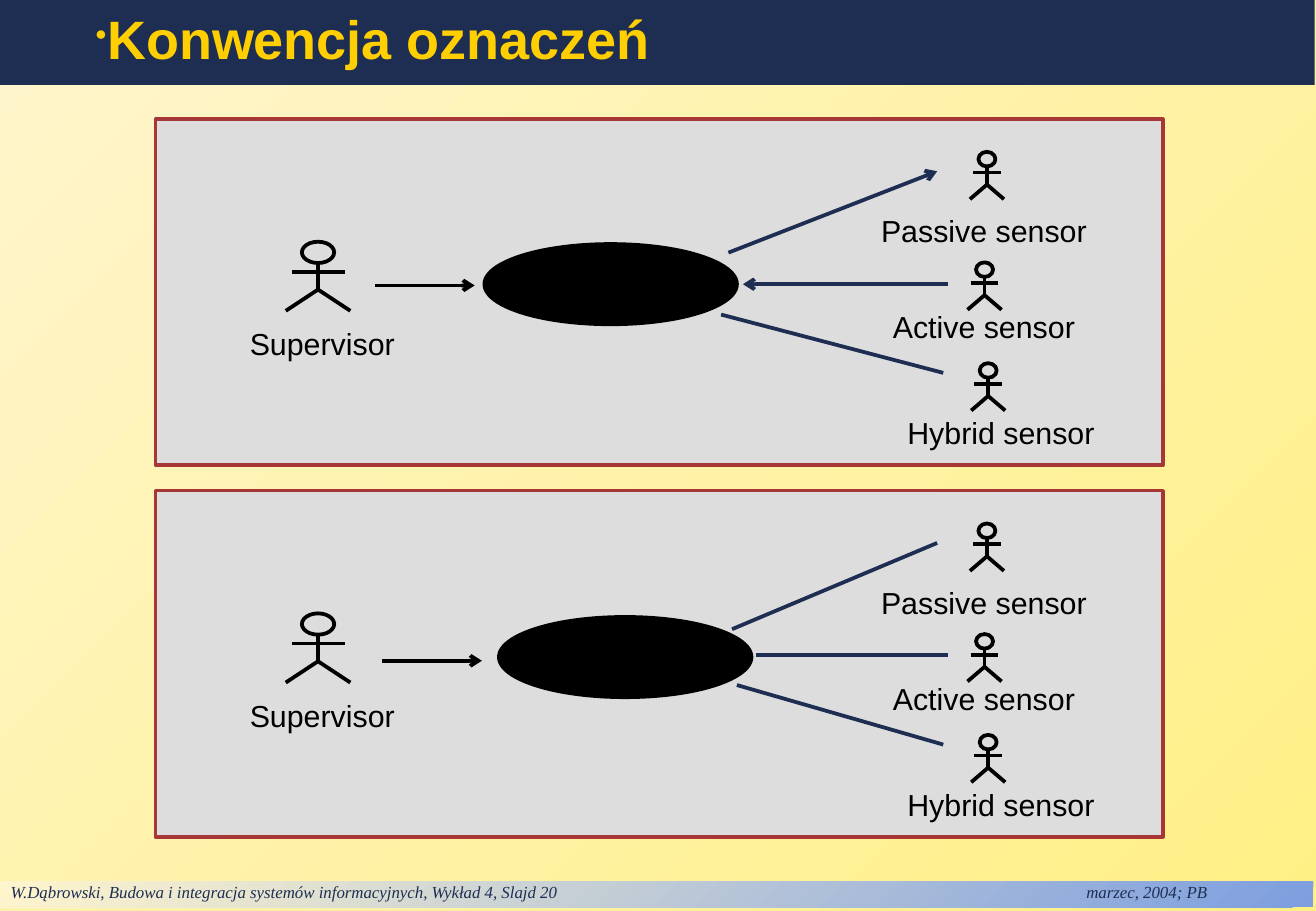
from lxml import etree
from pptx import Presentation
from pptx.dml.color import RGBColor
from pptx.enum import shapes as kinds, text as txt
from pptx.oxml import ns
from pptx.util import Inches, Pt

NAVY, GOLD, BLACK = "1E2E53", "FFCF01", "000000"
GREY, RED, CREAM = "DDDDDD", "A73737", "FFF5CD"
WIDTH, HEIGHT = 10.84, 7.5
RECT, OVAL = kinds.MSO_SHAPE.RECTANGLE, kinds.MSO_SHAPE.OVAL
LEFT, CENTER = txt.PP_ALIGN.LEFT, txt.PP_ALIGN.CENTER


def rgb(code):
    return RGBColor.from_string(code)


def node(parent, tag, **attrs):
    return etree.SubElement(parent, ns.qn(tag), attrs)


def blend(fill, start, end):
    """Gradient running from the bottom right to the top left."""
    fill.gradient()
    fill.gradient_angle = 135
    for stop, code in zip(fill.gradient_stops, (start, end)):
        stop.color.rgb = rgb(code)


def draw(parts, kind, box, fill=None, line=None, width=2.25):
    shape = parts.add_shape(kind, *map(Inches, box))
    shape.shadow.inherit = False
    if fill:
        shape.fill.solid()
        shape.fill.fore_color.rgb = rgb(fill)
    else:
        shape.fill.background()
    if line:
        shape.line.color.rgb = rgb(line)
        shape.line.width = Pt(width)
    else:
        shape.line.fill.background()
    return shape


def link(parts, start, end, color=BLACK, arrow=False):
    """Straight line; the arrowhead sits at its start."""
    line = parts.add_connector(kinds.MSO_CONNECTOR.STRAIGHT,
                               *map(Inches, (*start, *end)))
    line.line.color.rgb = rgb(color)
    line.line.width = Pt(2.25)
    if arrow:
        node(line.line._get_or_add_ln(), "a:headEnd", type="arrow")
    node(line._element.spPr, "a:effectLst")


def write(shape, words, size, color, margins, align=LEFT, face="Arial"):
    frame = shape.text_frame
    (frame.margin_left, frame.margin_top,
     frame.margin_right, frame.margin_bottom) = map(Inches, margins)
    para = frame.paragraphs[0]
    para.text = words
    para.alignment = align
    font = para.font
    font.name, font.size, font.color.rgb = face, Pt(size), rgb(color)
    return para


def title(slide, box, words):
    bar = draw(slide.shapes, RECT, box, NAVY)
    bar.text_frame.vertical_anchor = txt.MSO_ANCHOR.MIDDLE
    bar.text_frame.word_wrap = True
    props = bar.text_frame.paragraphs[0]._p.get_or_add_pPr()
    props.set("marL", str(Inches(0.29)))
    props.set("indent", str(Inches(0.4)))
    node(node(props, "a:buClr"), "a:srgbClr", val=GOLD)
    node(props, "a:buSzPct", val="60000")
    node(props, "a:buChar", char="•")
    para = write(bar, words, 32, GOLD, (0.1, 0.05, 0.1, 0.05))
    para.line_spacing = 0.9
    para.font.bold = True


def footer(slide, box, words):
    bar = draw(slide.shapes, RECT, box)
    blend(bar.fill, "7D9EDF", CREAM)
    bar.text_frame.vertical_anchor = txt.MSO_ANCHOR.TOP
    bar.text_frame.word_wrap = True
    props = bar.text_frame.paragraphs[0]._p.get_or_add_pPr()
    tabs = node(props, "a:tabLst")
    node(tabs, "a:tab", pos=str(Inches(8.86)), algn="l")
    para = write(bar, words, 10, NAVY, (0.1, 0, 0.1, 0.04),
                 face="Times New Roman")
    para.font.italic = True


def actor(slide, x, y, name, label, sx=1, sy=1):
    """Stick figure centred on x with its head top at y, and its label."""
    parts = slide.shapes.add_group_shape().shapes

    def at(dx, dy):
        return x + dx * sx, y + dy * sy

    draw(parts, OVAL, (*at(-0.07, 0), 0.14 * sx, 0.12 * sy), line=BLACK)
    hip = at(0, 0.27)
    link(parts, at(0, 0.12), hip)
    link(parts, at(-0.115, 0.17), at(0.115, 0.17))
    for side in (1, -1):
        link(parts, at(side * 0.14, 0.39), hip)
    box = parts.add_textbox(*map(Inches, (*label, 0.39)))
    box.text_frame.word_wrap = True
    write(box, name, 18, BLACK, (0, 0.04, 0, 0.04), CENTER)


def panel(slide, left, top, case, call, links):
    """Use case with its actors; all places are relative to the panel."""
    parts = slide.shapes

    def at(point):
        return left + point[0], top + point[1]

    draw(parts, RECT, (left, top, 8.3, 2.85), GREY, RED, 2)
    actor(slide, *at((1.34, 1.01)), "Supervisor", (*at((0.69, 1.66)), 1.37),
          sx=1.9, sy=1.46)
    for name, spot, label, width in (
            ("Passive sensor", (6.85, 0.27), (5.56, 0.73), 2.53),
            ("Active sensor", (6.83, 1.18), (5.99, 1.52), 1.67),
            ("Hybrid sensor", (6.86, 2.01), (5.94, 2.39), 2.05)):
        actor(slide, *at(spot), name, (*at(label), width))
    draw(parts, OVAL, (*at(case), 2.08, 0.66), BLACK, BLACK)
    link(parts, at(call), at((call[0] - 0.82, call[1])), arrow=True)
    for start, end, arrow in links:
        link(parts, at(start), at(end), NAVY, arrow)


def main():
    deck = Presentation()
    deck.slide_width, deck.slide_height = Inches(WIDTH), Inches(HEIGHT)
    slide = deck.slides.add_slide(deck.slide_layouts[6])
    blend(slide.background.fill, "FFF085", CREAM)
    footer(slide, (-0.01, 7.26, 10.83, 0.21),
           "W.Dąbrowski, Budowa i integracja systemów informacyjnych, "
           "Wykład 4, Slajd 20\tmarzec, 2004; PB")
    title(slide, (0, 0, 10.83, 0.7), "Konwencja oznaczeń")
    panel(slide, 1.28, 0.98, (2.71, 1.03), (2.63, 1.37), (
        ((6.44, 0.43), (4.72, 1.1), True),
        ((4.84, 1.36), (6.53, 1.36), True),
        ((6.49, 2.09), (4.66, 1.61), False)))
    panel(slide, 1.28, 4.04, (2.83, 1.04), (2.69, 1.4), (
        ((6.44, 0.43), (4.75, 1.14), False),
        ((4.95, 1.35), (6.53, 1.35), False),
        ((6.49, 2.09), (4.79, 1.6), False)))
    deck.save("out.pptx")


if __name__ == "__main__":
    main()
